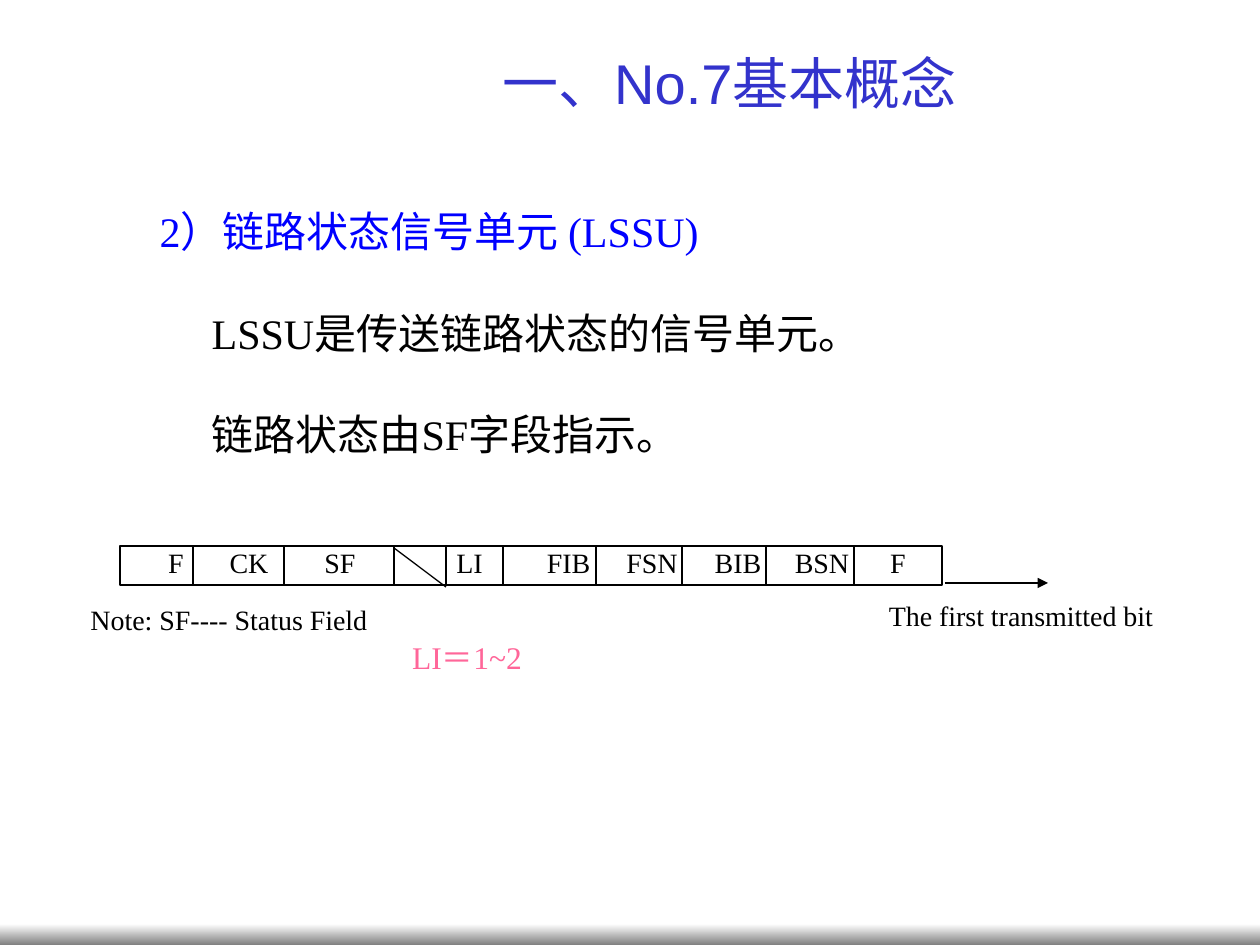
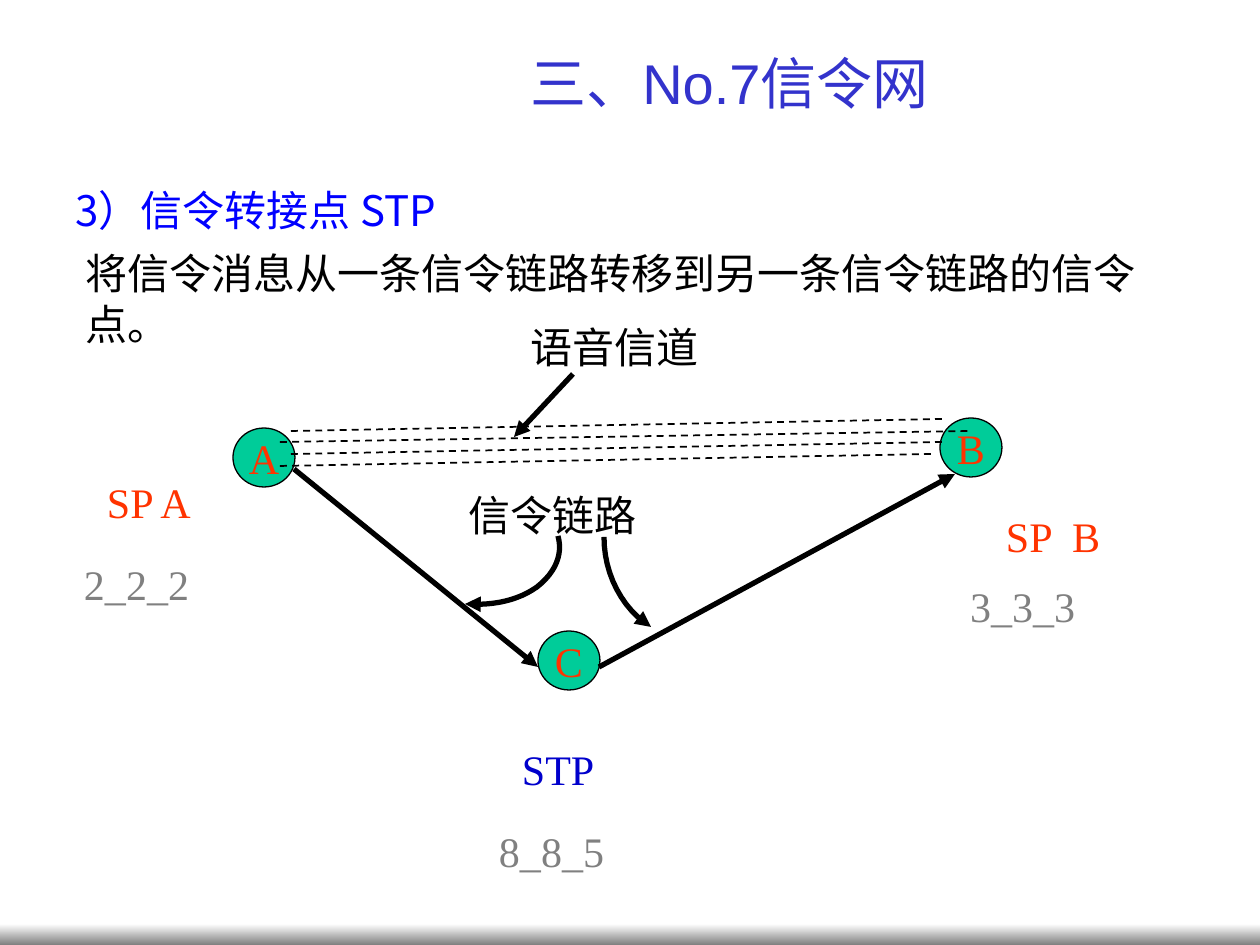
from lxml.etree import SubElement
from pptx import Presentation
from pptx.dml.color import RGBColor
from pptx.enum.dml import MSO_LINE
from pptx.enum.shapes import MSO_CONNECTOR, MSO_SHAPE
from pptx.enum.text import MSO_ANCHOR, MSO_AUTO_SIZE, PP_ALIGN
from pptx.oxml.ns import qn
from pptx.util import Pt

PX = 914400 / 126
WIDE, HIGH = 1260, 945
SERIF, SANS, CJK = "Times New Roman", "Arial", "Noto Sans CJK SC"
BLACK, WHITE, GRAY = "000000", "FFFFFF", "808080"
BLUE, NAVY, TITLE = "0000FF", "0000CC", "3333CC"
RED, PINK, GREEN = "FF3300", "FF6699", "00CC99"
MID, JUST = PP_ALIGN.CENTER, PP_ALIGN.JUSTIFY

# Slide 1: lines are (text, colour, indent)
UNIT_TITLE = "一、No.7基本概念"
UNIT_TEXT = [
    ("2）链路状态信号单元 (LSSU)", BLUE, 74),
    ("LSSU是传送链路状态的信号单元。", BLACK, 126),
    ("链路状态由SF字段指示。", BLACK, 126),
]
FIELD_TOP, FIELD_HIGH, FIELD_WIDE = 546, 39, 112
# (name, left, width); each field covers the end of the one before it
FIELDS = [
    ("F", 120, FIELD_WIDE), ("CK", 193, FIELD_WIDE), ("SF", 284, FIELD_WIDE),
    ("LI", 444, FIELD_WIDE), ("FIB", 503, 131), ("FSN", 596, FIELD_WIDE),
    ("BIB", 682, FIELD_WIDE), ("BSN", 766, FIELD_WIDE), ("F", 854, 88),
    ("", 394, 52),
]
# (text, box, size, colour, line spacing)
UNIT_NOTES = [
    ("LI＝1~2", (388, 630, 158, 45), 18, PINK, 1.2),
    ("Note: SF---- Status Field", (84, 588, 290, 50), 16, BLACK, 1.44),
    ("The first transmitted bit", (854, 599, 334, 40), 16, BLACK, 1),
]

# Slide 2
NET_TITLE = "三、No.7信令网"
NET_HEAD = "3）信令转接点 STP"
NET_TEXT = "将信令消息从一条信令链路转移到另一条信令链路的信令点。"
NODES = [("A", 233, 428), ("B", 940, 418), ("C", 538, 631)]
CAPTIONS = [("语音信道", (518, 315, 379, 63)), ("信令链路", (456, 483, 305, 63))]
TAGS = [
    ("SP A", (107, 454, 115, 73), RED), ("2_2_2", (84, 536, 173, 73), GRAY),
    ("SP  B", (1006, 488, 150, 73), RED), ("3_3_3", (970, 558, 184, 73), GRAY),
    ("STP", (522, 721, 139, 73), NAVY), ("8_8_5", (499, 803, 184, 73), GRAY),
]
ARROWS = [((294, 469), (538, 667)), ((599, 667), (955, 474)),
          ((573, 374), (514, 437))]
VOICE = [((291, 431), (942, 419)), ((280, 442), (970, 431)),
         ((291, 454), (942, 442)), ((280, 466), (931, 454))]
# Chains of cubic curves: a start, then three points for each curve
CURVES = [
    [(558, 536), (563, 554), (556, 572), (537, 587),
     (519, 600), (494, 606), (465, 604)],
    [(604, 537), (604, 574), (622, 609), (651, 627)],
]


def emu(*nums):
    return [round(n * PX) for n in nums]


def rgb(code):
    return RGBColor.from_string(code)


def place(shape, box):
    shape.left, shape.top, shape.width, shape.height = emu(*box)
    return shape


def write(shape, lines, size, font=SERIF, align=PP_ALIGN.LEFT, lead=1, gap=0,
          pad=True, wrap=True, anchor=MSO_ANCHOR.TOP):
    """Fill a shape with lines of (text, colour, indent)."""
    frame = shape.text_frame
    frame.auto_size = MSO_AUTO_SIZE.NONE
    frame.word_wrap = wrap
    frame.vertical_anchor = anchor
    if not pad:
        frame.margin_left = frame.margin_right = 0
        frame.margin_top = frame.margin_bottom = 0
    for i, (text, color, indent) in enumerate(lines):
        para = frame.add_paragraph() if i else frame.paragraphs[0]
        para.alignment = align
        para.line_spacing = lead
        para.space_before = Pt(gap if i else 0)
        props = para._p.get_or_add_pPr()
        props.set("marL", str(emu(indent)[0]))
        props.set("indent", "0")
        SubElement(props, qn("a:buNone"))
        run = para.add_run()
        run.text = text
        run.font.size = Pt(size)
        run.font.name = font
        run.font.color.rgb = rgb(color)
        east = SubElement(run._r.get_or_add_rPr(), qn("a:ea"))
        east.set("typeface", CJK)


def label(slide, text, box, size, color, indent=0, **style):
    shape = slide.shapes.add_textbox(*emu(*box))
    write(shape, [(text, color, indent)], size, **style)


def block(slide, kind, box, fill):
    shape = slide.shapes.add_shape(kind, *emu(*box))
    shape.shadow.inherit = False
    shape.fill.solid()
    shape.fill.fore_color.rgb = rgb(fill)
    shape.line.color.rgb = rgb(BLACK)
    shape.line.width = Pt(0.75)
    return shape


def stroke(shape, width, dash=False, arrow=False):
    shape.line.color.rgb = rgb(BLACK)
    shape.line.width = Pt(width)
    if dash:
        shape.line.dash_style = MSO_LINE.DASH
    if arrow:
        SubElement(shape.get_or_add_ln(), qn("a:tailEnd")).set("type", "triangle")


def link(slide, start, end, width, **style):
    line = slide.shapes.add_connector(MSO_CONNECTOR.STRAIGHT, *emu(*start, *end))
    stroke(line, width, **style)
    SubElement(line.element.spPr, qn("a:effectLst"))


def trace(chain, steps=12):
    """Points along a chain of cubic curves."""
    dots = [chain[0]]
    for i in range(0, len(chain) - 1, 3):
        a, b, c, d = chain[i:i + 4]
        for n in range(1, steps + 1):
            t = n / steps
            u = 1 - t
            dots.append(tuple(
                u**3 * p + 3 * u * u * t * q + 3 * u * t * t * r + t**3 * s
                for p, q, r, s in zip(a, b, c, d)))
    return [emu(*dot) for dot in dots]


def bend(slide, chain):
    first, *rest = trace(chain)
    pen = slide.shapes.build_freeform(*first)
    pen.add_line_segments(rest, close=False)
    shape = pen.convert_to_shape()
    shape.shadow.inherit = False
    shape.fill.background()
    stroke(shape, 3, arrow=True)


def dress(deck, slide):
    """Move a bottom band from the slide to the master."""
    band = block(slide, MSO_SHAPE.RECTANGLE, (0, 924, WIDE, 21), WHITE)
    band.line.fill.background()
    band.fill.gradient()
    band.fill.gradient_angle = 270
    for stop, color in zip(band.fill.gradient_stops, (WHITE, GRAY)):
        stop.color.rgb = rgb(color)
    band.element.nvSpPr.cNvPr.set("id", "20")
    deck.slide_master.element.cSld.spTree.append(band.element)


def start(deck, title, box, lines, **style):
    """Add a slide with its title and body text."""
    slide = deck.slides.add_slide(deck.slide_layouts[1])
    head = place(slide.shapes.title, (252, 42, 955, 81))
    write(head, [(title, TITLE, 0)], 32, font=SANS, align=MID,
          anchor=MSO_ANCHOR.MIDDLE)
    body = place(slide.placeholders[1], box)
    write(body, lines, 24, lead=Pt(29), **style)
    return slide


def draw_unit(deck):
    slide = start(deck, UNIT_TITLE, (73, 199, 1071, 270), UNIT_TEXT, gap=29)
    for text, box, size, color, lead in UNIT_NOTES:
        label(slide, text, box, size, color, align=MID, lead=lead, pad=False)
    for name, left, width in FIELDS:
        cell = block(slide, MSO_SHAPE.RECTANGLE,
                     (left, FIELD_TOP, width, FIELD_HIGH), WHITE)
        if name:
            write(cell, [(name, BLACK, 0)], 16, lead=0.8,
                  align=PP_ALIGN.LEFT if name == "LI" else MID)
    link(slide, (394, 548), (446, 587), 0.75)
    link(slide, (945, 583), (1048, 583), 0.75, arrow=True)
    return slide


def draw_net(deck):
    slide = start(deck, NET_TITLE, (73, 241, 1100, 120),
                  [(NET_TEXT, BLACK, 0)], font=CJK)
    label(slide, NET_HEAD, (0, 178, 567, 63), 24, BLUE, indent=63,
          font=CJK, lead=Pt(29))
    for text, box in CAPTIONS:
        label(slide, text, box, 24, BLACK, lead=Pt(29))
    for name, left, top in NODES:
        node = block(slide, MSO_SHAPE.OVAL, (left, top, 62, 59), GREEN)
        write(node, [(name, RED, 0)], 24, align=MID, wrap=False,
              anchor=MSO_ANCHOR.MIDDLE)
    for ends in ARROWS:
        link(slide, *ends, 3, arrow=True)
    for chain in CURVES:
        bend(slide, chain)
    for ends in VOICE:
        link(slide, *ends, 1, dash=True)
    for text, box, color in TAGS:
        label(slide, text, box, 24, color, align=JUST, lead=1.44, pad=False)


def main():
    deck = Presentation()
    deck.slide_width, deck.slide_height = emu(WIDE, HIGH)
    dress(deck, draw_unit(deck))
    draw_net(deck)
    deck.save("out.pptx")


if __name__ == "__main__":
    main()
